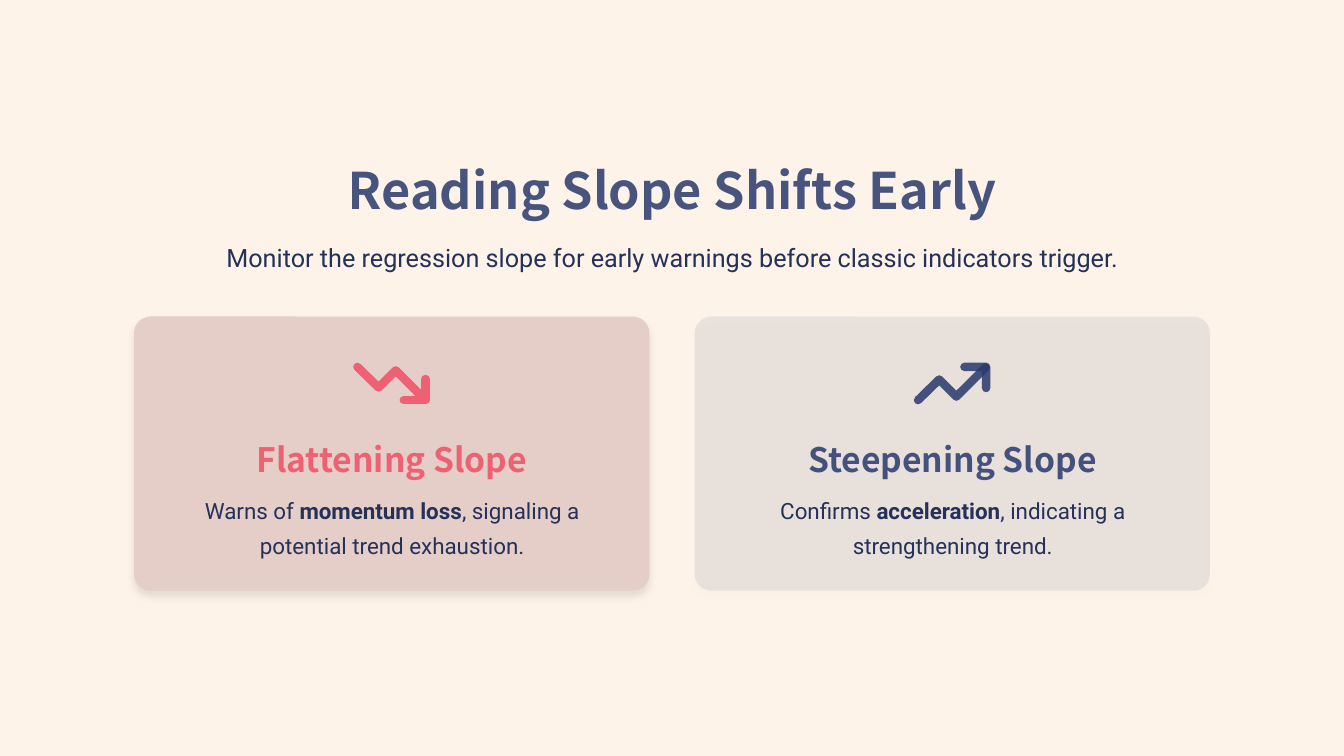
from lxml import etree
from pptx import Presentation
from pptx.dml.color import RGBColor
from pptx.enum import shapes, text
from pptx.oxml import ns
from pptx.util import Inches, Pt

CREAM = RGBColor(0xFD, 0xF3, 0xE9)
NAVY = RGBColor(0x2A, 0x3A, 0x6D)
INK = RGBColor(0x25, 0x31, 0x59)
CORAL = RGBColor(0xEE, 0x61, 0x72)
ROSE = RGBColor(0xE5, 0xCE, 0xC7)

HEADING_FONT = "Noto Sans CJK SC"
BODY_FONT = "Roboto"
CARD_TOP, CARD_WIDTH, CARD_HEIGHT = 3.14, 5.11, 2.72
ICON_MIDDLE = 3.805
TREND = [(-0.34, -0.165), (-0.13, 0.04), (0.04, -0.13), (0.33, 0.16)]
ARROWHEAD = [(0.12, 0.165), (0.335, 0.165), (0.335, -0.045)]


def set_values(target, values):
    for name, value in values.items():
        setattr(target, name, value)


def set_color(fill, color, opacity=100):
    fill.solid()
    fill.fore_color.rgb = color
    if opacity < 100:
        for element in fill._xPr.iter(ns.qn("a:srgbClr")):
            etree.SubElement(element, ns.qn("a:alpha"), val=str(opacity * 1000))


def write_text(shape, box, runs, size, font, color, opacity=100, spacing=1.3):
    left, top, width, height = map(Inches, box)
    set_values(shape, {"left": left, "top": top, "width": width, "height": height})
    frame = shape.text_frame
    set_values(frame, {
        "word_wrap": True,
        "auto_size": text.MSO_AUTO_SIZE.NONE,
        "vertical_anchor": text.MSO_ANCHOR.MIDDLE,
        "margin_left": 0, "margin_top": 0, "margin_right": 0, "margin_bottom": 0,
    })
    paragraph = frame.paragraphs[0]
    set_values(paragraph, {
        "alignment": text.PP_ALIGN.CENTER,
        "line_spacing": spacing,
        "space_before": Pt(0),
    })
    for words, bold in runs:
        run = paragraph.add_run()
        run.text = words
        set_values(run.font, {"size": Pt(size), "name": font, "bold": bold})
        set_color(run.font.fill, color, opacity)


def add_text(slide, box, *style, **options):
    shape = slide.shapes.add_textbox(*map(Inches, box))
    write_text(shape, box, *style, **options)


def add_shadow(shape):
    effects = etree.SubElement(shape._element.spPr, ns.qn("a:effectLst"))
    shadow = etree.SubElement(
        effects, ns.qn("a:outerShdw"), blurRad=str(Pt(6)), dist=str(Pt(4)),
        dir="5400000", algn="bl", rotWithShape="0")
    color = etree.SubElement(shadow, ns.qn("a:srgbClr"), val="000000")
    etree.SubElement(color, ns.qn("a:alpha"), val="10000")


def add_panel(slide, left, color, opacity):
    panel = slide.shapes.add_shape(
        shapes.MSO_SHAPE.ROUNDED_RECTANGLE,
        *map(Inches, (left, CARD_TOP, CARD_WIDTH, CARD_HEIGHT)))
    panel.adjustments[0] = 0.06
    set_color(panel.fill, color, opacity)
    panel.line.fill.background()
    add_shadow(panel)


def add_trend_icon(slide, center, direction, color, opacity):
    def place(points):
        return [(Inches(center + x), Inches(ICON_MIDDLE + direction * y))
                for x, y in points]

    trend, arrowhead = place(TREND), place(ARROWHEAD)
    builder = slide.shapes.build_freeform(*trend[0])
    builder.add_line_segments(trend[1:], close=False)
    builder.move_to(*arrowhead[0])
    builder.add_line_segments(arrowhead[1:], close=False)
    icon = builder.convert_to_shape()
    icon.shadow.inherit = False
    icon.fill.background()
    icon.line.width = Pt(6)
    set_color(icon.line.fill, color, opacity)
    outline = icon.line._get_or_add_ln()
    outline.set("cap", "rnd")
    etree.SubElement(outline, ns.qn("a:round"))


def add_card(slide, left, panel, direction, accent, heading, runs):
    add_panel(slide, left, *panel)
    add_trend_icon(slide, left + CARD_WIDTH / 2, direction, *accent)
    add_text(slide, (left + 0.25, 4.31, 4.61, 0.44), [(heading, True)],
             24, HEADING_FONT, *accent, spacing=1.1)
    add_text(slide, (left + 0.28, 4.86, 4.56, 0.67), runs, 16, BODY_FONT, INK)


def main():
    presentation = Presentation()
    set_values(presentation, {"slide_width": Inches(13.33), "slide_height": Inches(7.5)})
    slide = presentation.slides.add_slide(presentation.slide_layouts[0])
    set_color(slide.background.fill, CREAM)

    write_text(slide.shapes.title, (0.15, 1.64, 13.03, 0.56),
               [("Reading Slope Shifts Early", True)],
               36, HEADING_FONT, NAVY, 85, spacing=0.9)
    write_text(slide.placeholders[1], (0.22, 2.31, 12.9, 0.39),
               [("Monitor the regression slope for early warnings before "
                 "classic indicators trigger.", False)], 18, BODY_FONT, INK)

    add_card(slide, 1.33, (ROSE, 100), 1, (CORAL, 100), "Flattening Slope",
             [("Warns of ", False), ("momentum loss", True),
              (", signaling a potential trend exhaustion.", False)])
    add_card(slide, 6.89, (NAVY, 9), -1, (NAVY, 85), "Steepening Slope",
             [("Confirms ", False), ("acceleration", True),
              (", indicating a strengthening trend.", False)])

    presentation.save("out.pptx")


if __name__ == "__main__":
    main()
